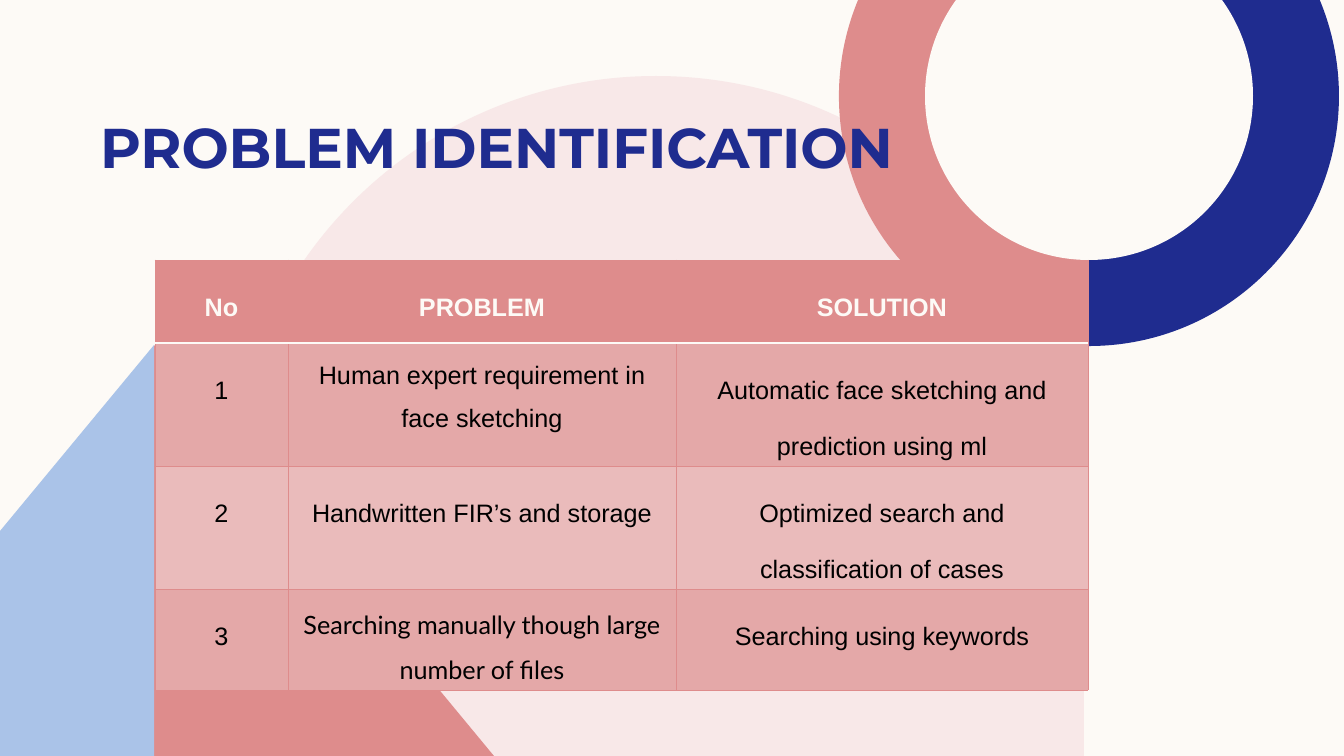
import math
from dataclasses import dataclass

import lxml.etree
import pptx
import pptx.dml.color
import pptx.enum.text
import pptx.oxml.ns
import pptx.util

EMU_PER_PX = 914400 / 100.8
SLIDE_W, SLIDE_H = 1344, 756

CREAM = pptx.dml.color.RGBColor(0xFD, 0xFA, 0xF6)
BLUSH = pptx.dml.color.RGBColor(0xF8, 0xE8, 0xE8)
ROSE = pptx.dml.color.RGBColor(0xDE, 0x8C, 0x8C)
ROSE_MID = pptx.dml.color.RGBColor(0xE4, 0xA8, 0xA8)
ROSE_LIGHT = pptx.dml.color.RGBColor(0xEA, 0xBB, 0xBB)
NAVY = pptx.dml.color.RGBColor(0x1F, 0x2C, 0x8F)
SKY = pptx.dml.color.RGBColor(0xAA, 0xC3, 0xE8)
BLACK = pptx.dml.color.RGBColor(0, 0, 0)

Point = tuple[float, float]
# A step of one point is a straight line, a step of three is a Bézier curve.
Outline = list[tuple[Point, ...]]

RING_X, RING_Y, RING_OUTER, RING_INNER = 1089, 96, 250, 164
TABLE_X, TABLE_Y = 155, 260
COLUMN_WIDTHS = (133, 388, 412)
ROW_HEIGHTS = (83, 123, 123, 101)
ROW_FILLS = (ROSE, ROSE_MID, ROSE_LIGHT, ROSE_MID)


@dataclass(frozen=True)
class Decoration:
    outline: Outline
    color: pptx.dml.color.RGBColor


@dataclass(frozen=True)
class Entry:
    text: str
    spacing: float = 2.0
    font: str = "Arial"


ENTRIES = (
    (Entry("No"), Entry("PROBLEM"), Entry("SOLUTION")),
    (Entry("1"), Entry("Human expert requirement in face sketching", 1.5),
     Entry("Automatic face sketching and prediction using ml")),
    (Entry("2"), Entry("Handwritten FIR’s and storage"),
     Entry("Optimized search and classification of cases")),
    (Entry("3"), Entry("Searching manually though large number of files", 1.5, "Lato"),
     Entry("Searching using keywords")),
)


def px(length: float) -> pptx.util.Emu:
    return pptx.util.Emu(round(length * EMU_PER_PX))


def lines(*points: Point) -> Outline:
    return [(point,) for point in points]


def arc(x: float, y: float, radius: float, *angles: float) -> Outline:
    """Curves through the given angles, in degrees clockwise from the right."""

    def on_circle(angle: float, tangent: float = 0) -> Point:
        cos, sin = math.cos(angle), math.sin(angle)
        return x + radius * (cos - tangent * sin), y + radius * (sin + tangent * cos)

    turns = [math.radians(angle) for angle in angles]
    outline = lines(on_circle(turns[0]))
    for start, end in zip(turns, turns[1:]):
        pull = 4 / 3 * math.tan((end - start) / 4)
        outline.append((on_circle(start, pull), on_circle(end, -pull), on_circle(end)))
    return outline


def top_angle(radius: float) -> float:
    """Angle above horizontal at which a ring circle meets the slide's top edge."""
    return math.degrees(math.asin(RING_Y / radius))


def decorations() -> list[Decoration]:
    outer, inner = top_angle(RING_OUTER), top_angle(RING_INNER)
    ring_top = lines((RING_X, 0))
    arch = arc(656, 504, 428, 180, 270, 360) + lines((1084, SLIDE_H), (228, SLIDE_H))
    return [
        Decoration(arch, BLUSH),
        Decoration(arc(RING_X, RING_Y, RING_OUTER, 90, 180, 180 + outer) + ring_top, ROSE),
        Decoration(arc(RING_X, RING_Y, RING_OUTER, 90, 0, -outer) + ring_top, NAVY),
        Decoration(arc(RING_X, RING_Y, RING_INNER, -inner, 0, 90, 180, 180 + inner), CREAM),
        Decoration(lines((154, 345), (494, SLIDE_H), (154, SLIDE_H)), ROSE),
        Decoration(lines((154, 345), (154, SLIDE_H), (0, SLIDE_H), (0, 531)), SKY),
    ]


def draw_decoration(slide, decoration: Decoration) -> None:
    (first,), *steps = decoration.outline
    builder = slide.shapes.build_freeform(px(first[0]), px(first[1]))
    builder.add_line_segments([(px(x), px(y)) for step in steps for x, y in step], close=True)
    shape = builder.convert_to_shape()
    bend_curves(shape, steps)
    shape.shadow.inherit = False
    shape.fill.solid()
    shape.fill.fore_color.rgb = decoration.color
    shape.line.fill.background()


def bend_curves(shape, steps: Outline) -> None:
    """Merge each three-point step's straight segments into one Bézier curve."""
    qn = pptx.oxml.ns.qn
    segments = iter(list(shape.element.iter(qn("a:lnTo"))))
    for step in steps:
        curve, *others = [next(segments) for _ in step]
        if others:
            curve.tag = qn("a:cubicBezTo")
        for other in others:
            curve.append(other[0])
            other.getparent().remove(other)


def write(frame, text: str, color: pptx.dml.color.RGBColor, spacing: float, **formats) -> None:
    frame.text = text
    paragraph = frame.paragraphs[0]
    paragraph.alignment = pptx.enum.text.PP_ALIGN.CENTER
    paragraph.line_spacing = spacing
    font = paragraph.runs[0].font
    font.color.rgb = color
    for attribute, value in formats.items():
        setattr(font, attribute, value)


def draw_title(slide) -> None:
    title = slide.shapes.title
    box = {"left": 0, "top": 108, "width": 993, "height": 85}
    for attribute, length in box.items():
        setattr(title, attribute, px(length))
    frame = title.text_frame
    frame_formats = {
        "word_wrap": True,
        "auto_size": pptx.enum.text.MSO_AUTO_SIZE.NONE,
        "vertical_anchor": pptx.enum.text.MSO_ANCHOR.MIDDLE,
    }
    for attribute, value in frame_formats.items():
        setattr(frame, attribute, value)
    write(frame, "PROBLEM IDENTIFICATION", NAVY, 0.9,
          name="Montserrat", size=pptx.util.Pt(40), bold=True)
    # Appending again brings the title in front of the decorations.
    title.element.getparent().append(title.element)


def set_borders(cell, header_above: bool, header: bool) -> None:
    qn = pptx.oxml.ns.qn
    properties = cell._tc.get_or_add_tcPr()
    divider = {"lnB": header, "lnT": header_above}
    for index, side in enumerate(("lnL", "lnR", "lnT", "lnB")):
        is_divider = divider.get(side, False)
        width = pptx.util.Pt(1 if is_divider else 0.5)
        line = lxml.etree.Element(qn(f"a:{side}"), w=str(width))
        fill = lxml.etree.SubElement(line, qn("a:solidFill"))
        color = CREAM if is_divider else ROSE
        lxml.etree.SubElement(fill, qn("a:srgbClr"), val=str(color))
        properties.insert(index, line)


def draw_table(slide) -> None:
    table = slide.shapes.add_table(
        len(ROW_HEIGHTS), len(COLUMN_WIDTHS), px(TABLE_X), px(TABLE_Y),
        px(sum(COLUMN_WIDTHS)), px(sum(ROW_HEIGHTS))).table
    for column, width in zip(table.columns, COLUMN_WIDTHS):
        column.width = px(width)
    for row, height in zip(table.rows, ROW_HEIGHTS):
        row.height = px(height)
    for r, entries in enumerate(ENTRIES):
        header = r == 0
        for c, entry in enumerate(entries):
            cell = table.cell(r, c)
            cell.fill.solid()
            cell.fill.fore_color.rgb = ROW_FILLS[r]
            set_borders(cell, header_above=r == 1, header=header)
            write(cell.text_frame, entry.text, CREAM if header else BLACK, entry.spacing,
                  name=entry.font, size=pptx.util.Pt(18), bold=header)


def main() -> None:
    presentation = pptx.Presentation()
    presentation.slide_width = px(SLIDE_W)
    presentation.slide_height = px(SLIDE_H)
    slide = presentation.slides.add_slide(presentation.slide_layouts[5])
    slide.background.fill.solid()
    slide.background.fill.fore_color.rgb = CREAM
    for decoration in decorations():
        draw_decoration(slide, decoration)
    draw_title(slide)
    draw_table(slide)
    presentation.save("out.pptx")


if __name__ == "__main__":
    main()
